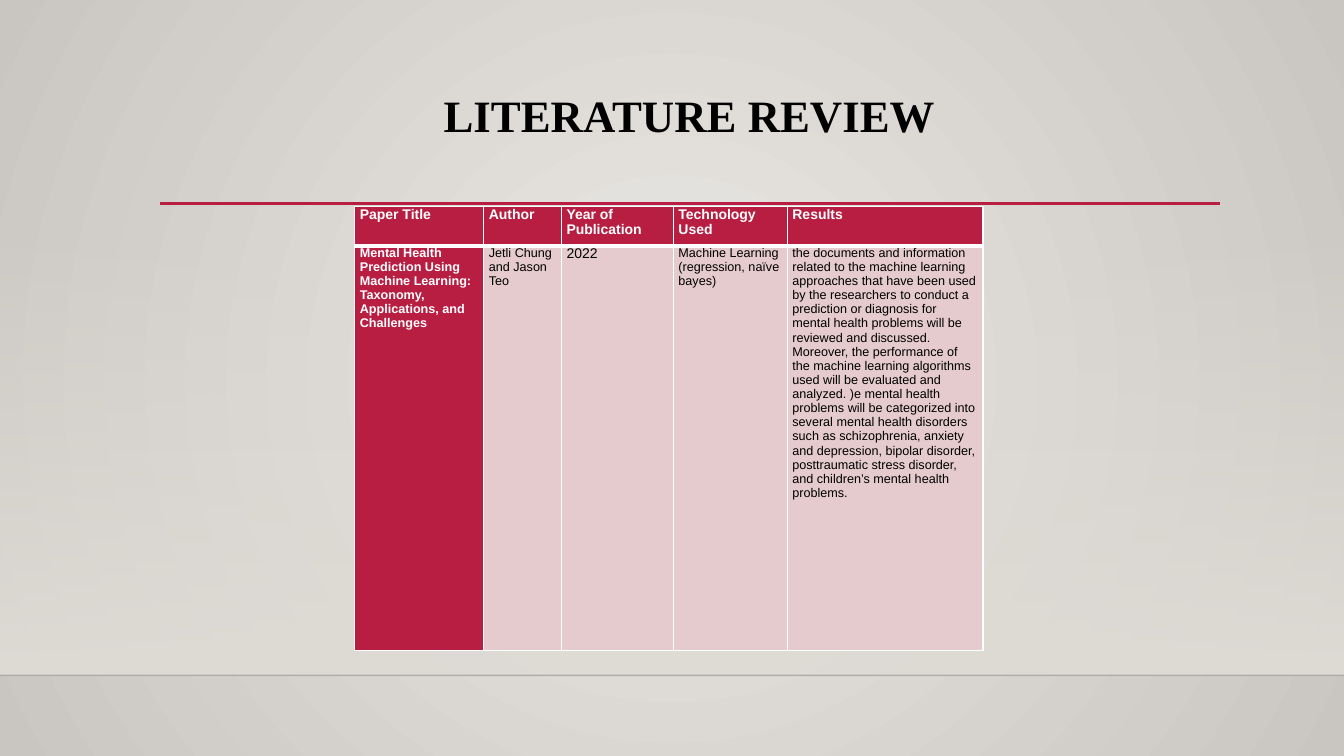
"""Build the literature review slide: a title, a rule and a table of papers."""
from lxml.etree import SubElement
from pptx import Presentation
from pptx.dml.color import RGBColor
from pptx.enum.shapes import MSO_CONNECTOR, MSO_SHAPE
from pptx.enum.text import MSO_ANCHOR, PP_ALIGN
from pptx.oxml.ns import qn
from pptx.util import Inches, Pt

COLORS = {
    "center": "EBE9E6", "edge": "C9C5C0", "wall": "DFDBD5", "floor": "000001",
    "accent": "B71E42", "band": "E5CBCD", "white": "FFFFFF", "black": "000000",
}
RGB = {name: RGBColor.from_string(value) for name, value in COLORS.items()}

deck = Presentation()
deck.slide_width, deck.slide_height = Inches(40 / 3), Inches(7.5)
column, row = deck.slide_width / 100, deck.slide_height / 100
page = deck.slides.add_slide(deck.slide_layouts[6])


def place(left, top, width, height):
    """Turn percentages of the slide into lengths."""
    return [int(left * column), int(top * row), int(width * column), int(height * row)]


def set_alpha(color_element, percent):
    """Set the opacity of a colour."""
    SubElement(color_element, qn("a:alpha")).set("val", str(percent * 1000))


backdrop = page.background.fill
backdrop.gradient()
for stop, name in zip(backdrop.gradient_stops, ("center", "edge")):
    stop.color.rgb = RGB[name]
linear = page._element.xpath("p:cSld/p:bg//a:lin")[0]
gradient = linear.getparent()
gradient.remove(linear)
circle = SubElement(gradient, qn("a:path"), {"path": "circle"})
SubElement(circle, qn("a:fillToRect"), {side: "50000" for side in "ltrb"})

wall = page.shapes.add_shape(MSO_SHAPE.RECTANGLE, *place(0, 29.47, 100, 59.87))
wall.shadow.inherit = False
wall.line.fill.background()
wall.fill.gradient()
wall.fill.gradient_angle = 270
for stop in wall.fill.gradient_stops:
    stop.color.rgb = RGB["wall"]
set_alpha(wall._element.xpath(".//a:gs/a:srgbClr")[0], 0)

for left, right, height, name, weight, opacity in (
    (0, 100, 89.33, "floor", 1, 20),
    (11.92, 90.75, 26.93, "accent", 2.5, 100),
):
    x, y, length, _ = place(left, height, right - left, 0)
    rule = page.shapes.add_connector(MSO_CONNECTOR.STRAIGHT, x, y, x + length, y)
    rule.line.color.rgb = RGB[name]
    rule.line.width = Pt(weight)
    set_alpha(rule._element.xpath(".//a:ln//a:srgbClr")[0], opacity)
    SubElement(rule._element.spPr, qn("a:effectLst"))

title = page.shapes.add_textbox(*place(11.92, 11.73, 78.75, 15.33))
frame = title.text_frame
frame.word_wrap = True
frame.vertical_anchor = MSO_ANCHOR.TOP
frame.text = "LITERATURE REVIEW"
para = frame.paragraphs[0]
para.alignment = PP_ALIGN.CENTER
para.line_spacing = 0.9
font = para.runs[0].font
font.name, font.size, font.bold = "Times New Roman", Pt(32), True
font.color.rgb = RGB["black"]

PAPERS = (
    ("Paper Title", "Author", "Year of Publication", "Technology\nUsed", "Results"),
    (
        "Mental Health Prediction Using Machine Learning: Taxonomy, Applications, "
        "and Challenges",
        "Jetli Chung and Jason Teo",
        "2022",
        "Machine Learning (regression, naïve bayes)",
        "the documents and information related to the machine learning approaches "
        "that have been used by the researchers to conduct a prediction or diagnosis "
        "for mental health problems will be reviewed and discussed. Moreover, the "
        "performance of the machine learning algorithms used will be evaluated and "
        "analyzed. )e mental health problems will be categorized into several mental "
        "health disorders such as schizophrenia, anxiety and depression, bipolar "
        "disorder, posttraumatic stress disorder, and children’s mental health "
        "problems.",
    ),
)
WIDTHS = (9.6, 5.78, 8.33, 8.48, 14.55)
HEIGHTS = (5.2, 53.47)
YEAR = 2

table = page.shapes.add_table(
    len(HEIGHTS), len(WIDTHS), *place(26.4, 27.33, sum(WIDTHS), sum(HEIGHTS))
).table
for table_column, width in zip(table.columns, WIDTHS):
    table_column.width = int(width * column)
for table_row, height in zip(table.rows, HEIGHTS):
    table_row.height = int(height * row)

for r, paper in enumerate(PAPERS):
    for c, words in enumerate(paper):
        cell = table.cell(r, c)
        heading = r == 0 or c == 0
        cell.margin_left = cell.margin_right = Inches(0.05)
        cell.margin_top = cell.margin_bottom = 0
        divider = "lnB" if r == 0 else "lnT"
        for side in ("lnL", "lnR", "lnT", "lnB"):
            weight = Pt(3 if side == divider else 1)
            border = SubElement(cell._tc.tcPr, qn(f"a:{side}"), {"w": str(weight)})
            paint = SubElement(border, qn("a:solidFill"))
            SubElement(paint, qn("a:srgbClr"), {"val": COLORS["white"]})
        cell.fill.solid()
        cell.fill.fore_color.rgb = RGB["accent" if heading else "band"]
        cell.text_frame.text = words
        for para in cell.text_frame.paragraphs:
            font = para.runs[0].font
            font.name, font.bold = "Arial", heading
            font.size = Pt(10 if r == 0 or c == YEAR else 9)
            font.color.rgb = RGB["white" if heading else "black"]

deck.save("out.pptx")
